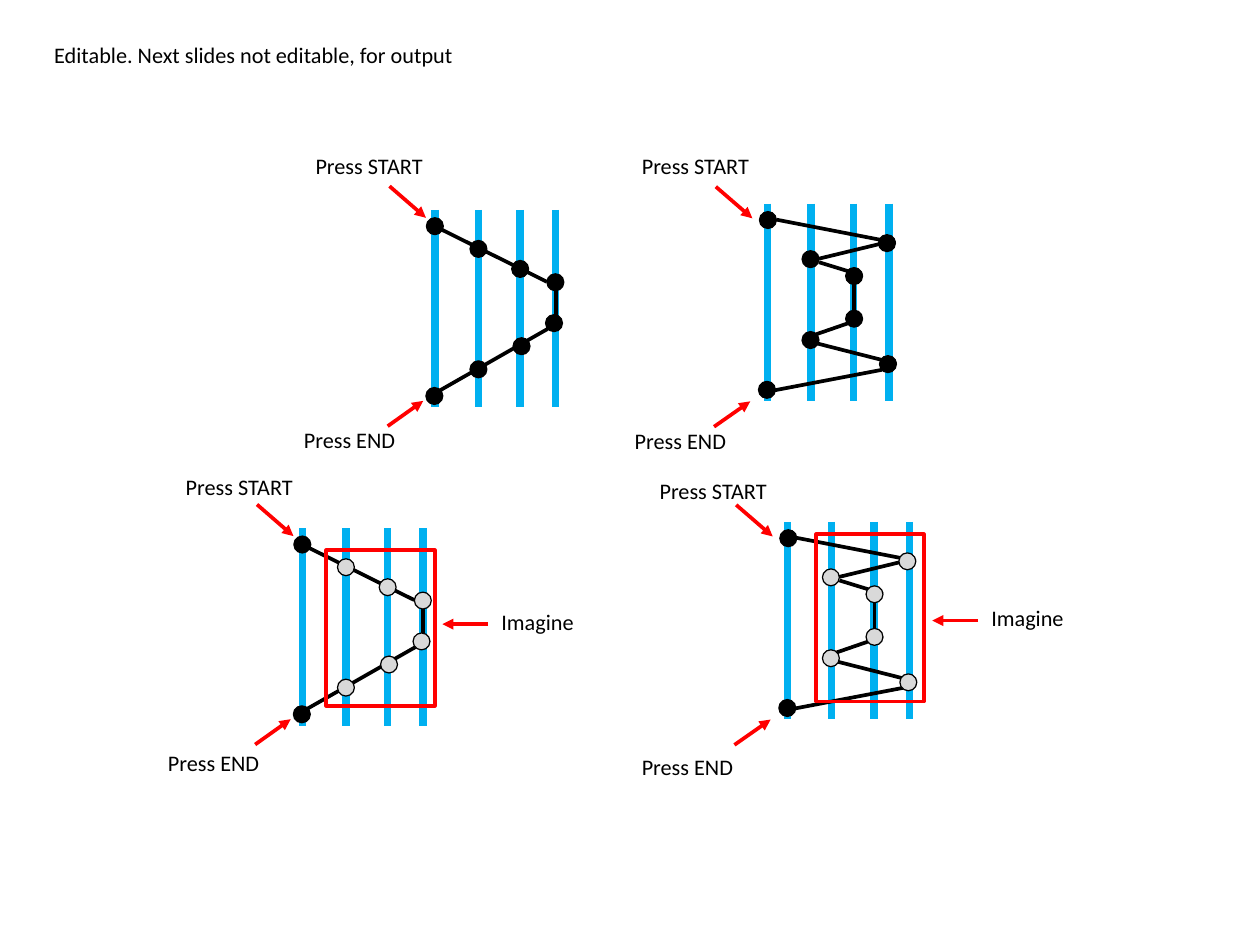
from dataclasses import dataclass

from lxml import etree
from pptx import Presentation
from pptx.dml.color import RGBColor
from pptx.enum.shapes import MSO_CONNECTOR, MSO_SHAPE
from pptx.enum.text import MSO_ANCHOR, MSO_AUTO_SIZE, PP_ALIGN
from pptx.oxml.ns import qn
from pptx.util import Pt

STRAIGHT = MSO_CONNECTOR.STRAIGHT
OVAL = MSO_SHAPE.OVAL
RECTANGLE = MSO_SHAPE.RECTANGLE
TOP = MSO_ANCHOR.TOP
LEFT = PP_ALIGN.LEFT
FIT_SHAPE = MSO_AUTO_SIZE.SHAPE_TO_FIT_TEXT

COLORS = {"black": "000000", "wire": "00B0F0", "accent": "FF0000", "imagined": "D9D9D9"}
FONT_NAME = "Calibri"
FONT_SIZE = 18
WIRE_HEIGHT = 160
DOT_SIZE = 13.7
LABEL_HEIGHT = 28.8


@dataclass
class Pattern:
    """A gesture across four wires; points are relative to the first wire's top."""
    wires: tuple
    dots: tuple
    strokes: tuple
    start_arrow: tuple
    end_arrow: tuple
    frame: tuple
    imagine: tuple


WEDGE = Pattern(
    wires=(0, 35.3, 69.1, 97.9),
    dots=((0, 13.3), (35.3, 31.7), (69.1, 47.9), (97.6, 58.7),
          (96.5, 91.8), (70.2, 110.5), (35.3, 129.2), (-0.4, 150.8)),
    strokes=((0.7, 13.7, 90.7, 58.3), (97.9, 60.5, 97.9, 95), (4.3, 146.2, 91.4, 96.5)),
    start_arrow=(-36.7, -19.1, -7.2, 6.5),
    end_arrow=(-38.2, 175.3, -9.4, 154.8),
    frame=(19.4, 18, 87.8, 126),
    imagine=(154.1, 61.2),
)
ZIGZAG = Pattern(
    wires=(0, 35.3, 69.8, 98.6),
    dots=((0.4, 13.3), (96.8, 32), (34.9, 45), (70.2, 58.7),
          (70.2, 93.2), (34.9, 110.5), (97.6, 130), (-0.4, 150.8)),
    strokes=((7.2, 13, 103.7, 31.7), (92.2, 32.4, 41.8, 44.6), (41.8, 47.5, 77, 58.3),
             (70.2, 60.5, 70.2, 95), (77, 92.9, 39.6, 105.8),
             (104.4, 129.6, 28.1, 110.2), (92.9, 134.6, 5.8, 151.2)),
    start_arrow=(-41.8, -13.7, -12.2, 11.9),
    end_arrow=(-43.2, 180.7, -13.9, 160.2),
    frame=(23, 10.1, 87.1, 135.4),
    imagine=(157.7, 63.4),
)

# Pattern, origin, "Press START" position, "Press END" position, imagined middle
DIAGRAMS = (
    (WEDGE, (352.1, 169.9), (248.4, 119.5), (239, 342), False),
    (ZIGZAG, (621.4, 164.9), (512.6, 119.5), (506.9, 342.7), False),
    (WEDGE, (244.8, 427.7), (143.3, 379.4), (128.9, 603.4), True),
    (ZIGZAG, (637.9, 422.6), (527, 383), (512.6, 606.2), True),
)


def color(name):
    return RGBColor.from_string(COLORS[name])


def shift(origin, points):
    """Move a flat x, y, x, y sequence to the diagram's origin."""
    return [value + origin[index % 2] for index, value in enumerate(points)]


def add_line(slide, ends, color_name, width=3, arrow=False):
    line = slide.shapes.add_connector(STRAIGHT, *(Pt(value) for value in ends))
    line.line.color.rgb = color(color_name)
    line.line.width = Pt(width)
    properties = line._element.spPr
    if arrow:
        etree.SubElement(properties.find(qn("a:ln")), qn("a:tailEnd"), type="triangle")
    etree.SubElement(properties, qn("a:effectLst"))


def add_dot(slide, center, fill_name):
    left, top = (value - DOT_SIZE / 2 for value in center)
    dot = slide.shapes.add_shape(OVAL, Pt(left), Pt(top), Pt(DOT_SIZE), Pt(DOT_SIZE))
    dot.shadow.inherit = False
    dot.fill.solid()
    dot.fill.fore_color.rgb = color(fill_name)
    dot.line.color.rgb = color("black")
    dot.line.width = Pt(1)


def add_frame(slide, left, top, width, height):
    frame = slide.shapes.add_shape(RECTANGLE, Pt(left), Pt(top), Pt(width), Pt(height))
    frame.shadow.inherit = False
    frame.fill.background()
    frame.line.color.rgb = color("accent")
    frame.line.width = Pt(3)


def write_text(shape, text):
    text_frame = shape.text_frame
    text_frame.text = text
    text_frame.word_wrap = False
    text_frame.auto_size = FIT_SHAPE
    text_frame.vertical_anchor = TOP
    paragraph = text_frame.paragraphs[0]
    paragraph.alignment = LEFT
    paragraph.font.name = FONT_NAME
    paragraph.font.size = Pt(FONT_SIZE)
    paragraph.font.color.rgb = color("black")


def add_label(slide, text, position, width):
    left, top = position
    write_text(slide.shapes.add_textbox(Pt(left), Pt(top), Pt(width), Pt(LABEL_HEIGHT)), text)


def add_heading(slide, text):
    title = slide.shapes.title
    title.left, title.top = Pt(36.7), Pt(30.2)
    title.width, title.height = Pt(341.3), Pt(LABEL_HEIGHT)
    write_text(title, text)


def add_diagram(slide, pattern, origin, start_label, end_label, imagined):
    # Wires and gesture
    for wire in pattern.wires:
        add_line(slide, shift(origin, (wire, 0, wire, WIRE_HEIGHT)), "wire", width=6)
    for stroke in pattern.strokes:
        add_line(slide, shift(origin, stroke), "black")

    # Dots: only the first and last are pressed when the middle is imagined
    last = len(pattern.dots) - 1
    for index, dot in enumerate(pattern.dots):
        pressed = not imagined or index in (0, last)
        add_dot(slide, shift(origin, dot), "black" if pressed else "imagined")

    # Press labels and arrows
    for arrow in (pattern.start_arrow, pattern.end_arrow):
        add_line(slide, shift(origin, arrow), "accent", arrow=True)
    add_label(slide, "Press START", start_label, 102.2)
    add_label(slide, "Press END", end_label, 89.3)

    # Frame around the imagined middle
    if imagined:
        left, top, width, height = pattern.frame
        add_frame(slide, *shift(origin, (left, top)), width, height)
        label_left, label_top = shift(origin, pattern.imagine)
        add_label(slide, "Imagine", (label_left, label_top), 85)
        arrow_y = label_top + 16.6
        add_line(slide, (label_left - 3.6, arrow_y, label_left - 40.7, arrow_y),
                 "accent", arrow=True)


def main():
    presentation = Presentation()
    presentation.slide_width, presentation.slide_height = Pt(1020.24), Pt(765.36)
    slide = presentation.slides.add_slide(presentation.slide_layouts[5])
    add_heading(slide, "Editable. Next slides not editable, for output")
    for diagram in DIAGRAMS:
        add_diagram(slide, *diagram)
    presentation.save("out.pptx")


if __name__ == "__main__":
    main()
